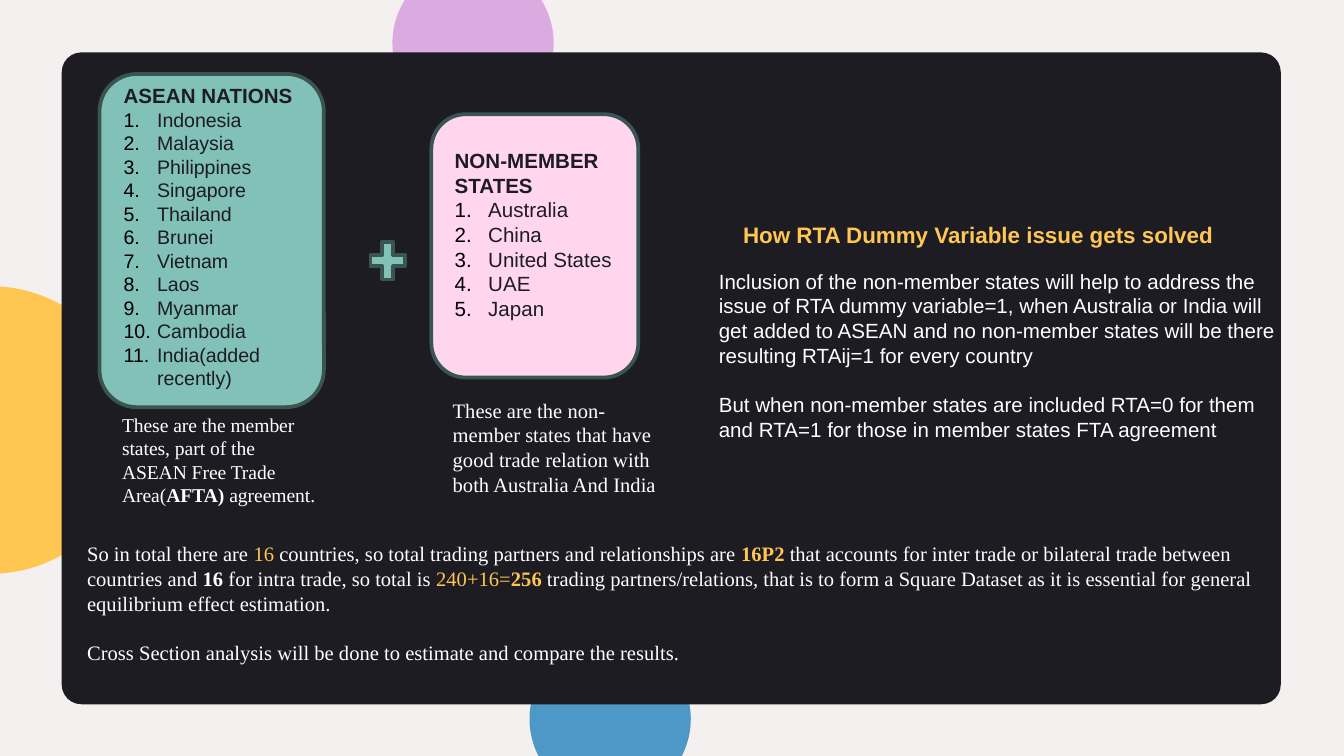
"""Build the slide on ASEAN members, non-member states and the RTA dummy variable."""
from dataclasses import dataclass

from lxml import etree
from pptx import Presentation
from pptx import util as u
from pptx.dml.color import RGBColor
from pptx.enum import shapes, text
from pptx.oxml.ns import qn


@dataclass(frozen=True)
class Theme:
    backdrop: str = "F4F0EF"
    panel: str = "1D1C23"
    lilac: str = "DBAAE0"
    blue: str = "4E98C7"
    gold: str = "FFC651"
    teal: str = "81C1B8"
    pink: str = "FFD6ED"
    border: str = "395551"
    white: str = "FFFFFF"
    number: str = "000000"
    sans: str = "Arial"
    serif: str = "Times New Roman"
    small: float = 10.5
    body: float = 11
    title: float = 12
    gap: float = 13.3


THEME = Theme()
KIND = shapes.MSO_SHAPE

WIDTH = 10
SLIDE_SIZE = (WIDTH, WIDTH * 9 / 16)

CIRCLES = [
    ((2.92, -0.28, 1.2, 1.2), THEME.lilac),
    ((3.94, 4.75, 1.2, 1.2), THEME.blue),
    ((-1.14, 2.13, 2.14, 2.14), THEME.gold),
]
PANEL = (0.46, 0.39, 9.07, 4.85)
PLUS = (2.71, 1.75, 0.35, 0.38)

GROUPS = [
    {
        "at": (0.74, 0.55, 1.67, 2.48), "fill": THEME.teal, "size": THEME.small, "bottom": 0.11,
        "heading": ["ASEAN NATIONS"],
        "countries": ["Indonesia", "Malaysia", "Philippines", "Singapore", "Thailand", "Brunei",
                      "Vietnam", "Laos", "Myanmar", "Cambodia", "India(added recently)"],
    },
    {
        "at": (3.21, 0.85, 1.54, 1.96), "fill": THEME.pink, "size": THEME.body, "bottom": 0.22,
        "heading": ["NON-MEMBER", "STATES"],
        "countries": ["Australia", "China", "United States", "UAE", "Japan"],
    },
]

PLAIN, BOLD = (THEME.white, False), (THEME.white, True)
GOLD, GOLD_BOLD = (THEME.gold, False), (THEME.gold, True)

NOTES = [
    ((0.81, 3.02, 1.67, 1.16), THEME.serif, THEME.small, [
        [("These are the member states, part of the ASEAN Free Trade Area(", PLAIN),
         ("AFTA)", BOLD), (" agreement.", PLAIN)],
    ]),
    ((3.27, 2.91, 1.79, 0.84), THEME.serif, THEME.body, [
        [("These are the non-member states that have good trade relation with "
          "both Australia And India", PLAIN)],
    ]),
    ((5.25, 1.95, 4.38, 1.4), THEME.sans, THEME.body, [
        [("Inclusion of the non-member states will help to address the issue of RTA dummy "
          "variable=1, when Australia or India will get added to ASEAN and no non-member "
          "states will be there resulting RTAij=1 for every country", PLAIN)],
        [("But when non-member states are included RTA=0 for them and RTA=1 for those in "
          "member states FTA agreement", PLAIN)],
    ]),
    ((5.43, 1.6, 3.82, 0.3), THEME.sans, THEME.title, [
        [("How RTA Dummy Variable issue gets solved", GOLD_BOLD)],
    ]),
    ((0.55, 3.98, 9.03, 1.4), THEME.serif, THEME.body, [
        [("So in total there are ", PLAIN), ("16", GOLD),
         (" countries, so total trading partners and relationships are ", PLAIN),
         ("16P2 ", GOLD_BOLD),
         ("that accounts for inter trade or bilateral trade between countries and ", PLAIN),
         ("16", BOLD), (" for intra trade, so total is ", PLAIN),
         ("240+16=", GOLD), ("256", GOLD_BOLD),
         (" trading partners/relations, that is to form a Square Dataset as it is essential "
          "for general equilibrium effect estimation.", PLAIN)],
        [("Cross Section analysis will be done to estimate and compare the results.", PLAIN)],
    ]),
]


def inches(at):
    return [u.Inches(value) for value in at]


def add_shape(page, kind, at, fill, border=None):
    shape = page.shapes.add_shape(kind, *inches(at))
    shape.shadow.inherit = False
    shape.fill.solid()
    shape.fill.fore_color.rgb = RGBColor.from_string(fill)
    if border:
        shape.line.color.rgb = RGBColor.from_string(border)
        shape.line.width = u.Pt(2)
    else:
        shape.line.fill.background()
    return shape


def add_paragraph(frame, index):
    return frame.add_paragraph() if index else frame.paragraphs[0]


def set_font(font, name, size):
    font.name = name
    font.size = u.Pt(size)


def add_span(para, wording, colour, bold):
    span = para.add_run()
    span.text = wording
    span.font.color.rgb = RGBColor.from_string(colour)
    span.font.bold = bold


def number_paragraph(para):
    properties = para._p.get_or_add_pPr()
    properties.set("marL", str(u.Inches(0.25)))
    properties.set("indent", str(u.Inches(-0.25)))
    colour = etree.SubElement(properties, qn("a:buClr"))
    etree.SubElement(colour, qn("a:srgbClr"), val=THEME.number)
    etree.SubElement(properties, qn("a:buFont"), typeface=THEME.sans)
    etree.SubElement(properties, qn("a:buAutoNum"), type="arabicPeriod")


def add_group(page, group):
    box = add_shape(page, KIND.ROUNDED_RECTANGLE, group["at"], group["fill"], THEME.border)
    frame = box.text_frame
    frame.word_wrap = True
    frame.vertical_anchor = text.MSO_ANCHOR.MIDDLE
    frame.margin_bottom = u.Inches(group["bottom"])
    heading = group["heading"]
    for index, line in enumerate(heading + group["countries"]):
        is_heading = index < len(heading)
        para = add_paragraph(frame, index)
        if not is_heading:
            number_paragraph(para)
        para.alignment = text.PP_ALIGN.LEFT
        set_font(para.font, THEME.sans, THEME.body if is_heading else group["size"])
        add_span(para, line, THEME.panel, is_heading)


def add_note(page, at, font, size, paragraphs):
    frame = page.shapes.add_textbox(*inches(at)).text_frame
    frame.word_wrap = True
    for index, spans in enumerate(paragraphs):
        para = add_paragraph(frame, index)
        set_font(para.font, font, size)
        if index:
            para.space_before = u.Pt(THEME.gap)
        for wording, style in spans:
            add_span(para, wording, *style)


def main():
    deck = Presentation()
    deck.slide_width, deck.slide_height = inches(SLIDE_SIZE)
    page = deck.slides.add_slide(deck.slide_layouts[6])
    page.background.fill.solid()
    page.background.fill.fore_color.rgb = RGBColor.from_string(THEME.backdrop)
    for at, fill in CIRCLES:
        add_shape(page, KIND.OVAL, at, fill)
    panel = add_shape(page, KIND.ROUNDED_RECTANGLE, PANEL, THEME.panel)
    panel.adjustments[0] = 0.03
    for group in GROUPS:
        add_group(page, group)
    add_shape(page, KIND.MATH_PLUS, PLUS, THEME.teal, THEME.border)
    for note in NOTES:
        add_note(page, *note)
    deck.save("out.pptx")


if __name__ == "__main__":
    main()
